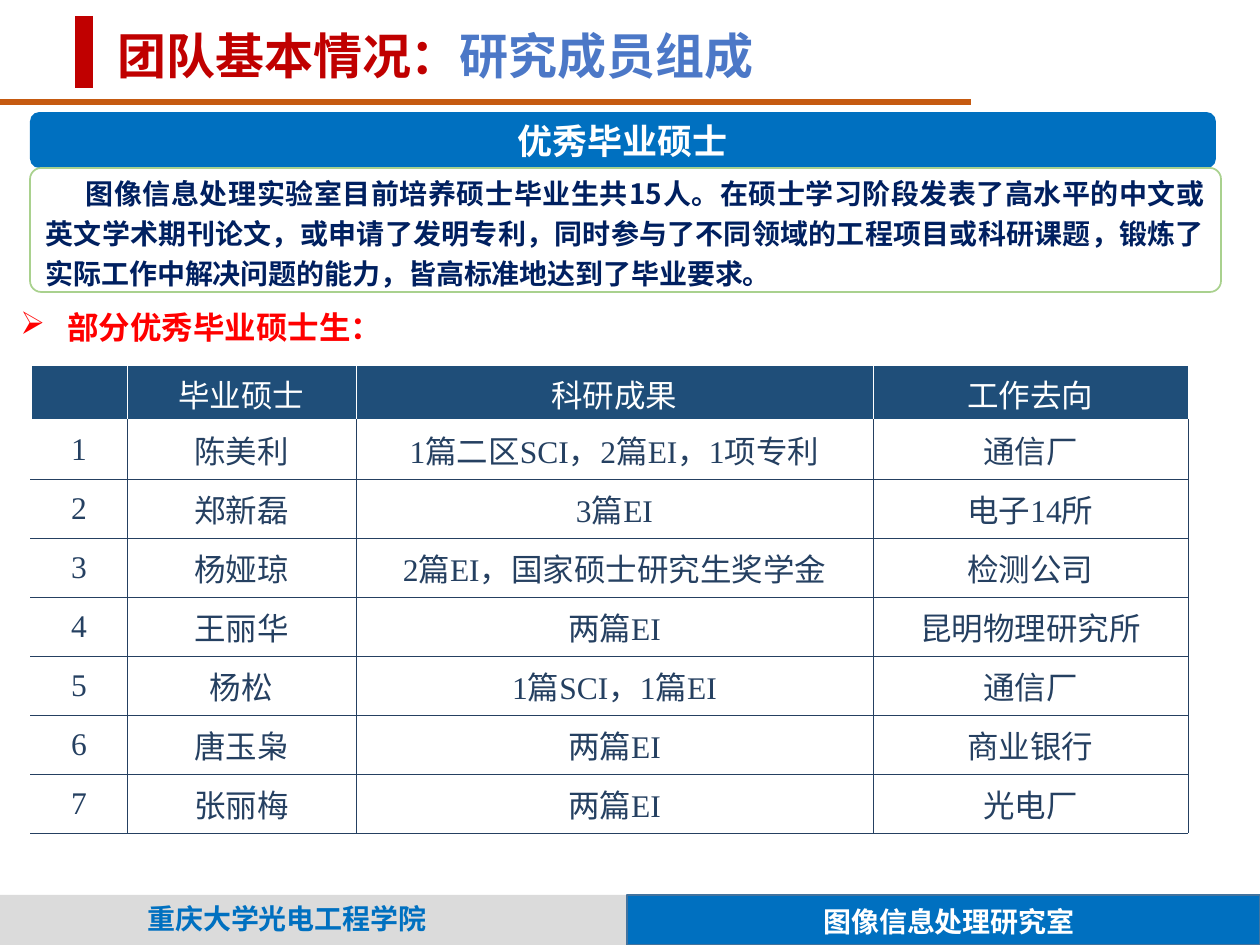
from lxml import etree
from pptx import Presentation
from pptx.dml.color import RGBColor
from pptx.enum.shapes import MSO_CONNECTOR, MSO_SHAPE
from pptx.enum.text import MSO_ANCHOR, PP_ALIGN
from pptx.oxml.ns import qn
from pptx.util import Emu, Pt

LEFT, MID, JUST = PP_ALIGN.LEFT, PP_ALIGN.CENTER, PP_ALIGN.JUSTIFY
TOP, CENTER = MSO_ANCHOR.TOP, MSO_ANCHOR.MIDDLE
RECT, ROUND = MSO_SHAPE.RECTANGLE, MSO_SHAPE.ROUNDED_RECTANGLE
LINE = MSO_CONNECTOR.STRAIGHT

# Content
TITLE = [("团队基本情况：", "crimson"), ("研究成员组成", "sky")]
BANNER = "优秀毕业硕士"
INTRO = ("图像信息处理实验室目前培养硕士毕业生共15人。在硕士学习阶段发表了高水平的中文或"
         "英文学术期刊论文，或申请了发明专利，同时参与了不同领域的工程项目或科研课题，锻炼了"
         "实际工作中解决问题的能力，皆高标准地达到了毕业要求。")
LIST_HEAD = "部分优秀毕业硕士生："
HEADS = ["", "毕业硕士", "科研成果", "工作去向"]
GRADS = [
    ("陈美利", "1篇二区SCI，2篇EI，1项专利", "通信厂"),
    ("郑新磊", "3篇EI", "电子14所"),
    ("杨娅琼", "2篇EI，国家硕士研究生奖学金", "检测公司"),
    ("王丽华", "两篇EI", "昆明物理研究所"),
    ("杨松", "1篇SCI，1篇EI", "通信厂"),
    ("唐玉枭", "两篇EI", "商业银行"),
    ("张丽梅", "两篇EI", "光电厂"),
]
SCHOOL, LAB = "重庆大学光电工程学院", "图像信息处理研究室"

THEME = {
    "color": {"crimson": "C00000", "sky": "4C78C7", "blue": "0070C0",
              "edge": "43739E", "rust": "C55A11", "grey": "DBDBDB",
              "white": "FFFFFF", "navy": "002060", "green": "A9D18E",
              "head": "1F4E79", "ink": "254061", "red": "FF0000"},
    "size": {"title": 28, "banner": 20, "table": 18, "body": 16},
    "font": {"title": "Calibri", "sans": "Noto Sans CJK SC",
             "serif": "Times New Roman"},
}

# Table geometry in px
COLS = [96, 229, 517, 315]
HEAD_H, ROW_H = 55, 59
TIGHT = (1, 3)


def px(n):
    return Emu(round(n * 914400 / 126))


def rgb(name):
    return RGBColor.from_string(THEME["color"][name])


def put_text(frame, text, size="body", font="sans", color="white", bold=True,
             align=LEFT, anchor=CENTER, space=None, indent=0, bullet=None):
    """Write one paragraph; text is a string or a list of (text, colour)."""
    frame.word_wrap = True
    frame.vertical_anchor = anchor
    para = frame.paragraphs[0]
    para.alignment = align
    if space:
        para.line_spacing = space
    props = para._p.get_or_add_pPr()
    if indent:
        props.set("marL", str(px(indent) if bullet else 0))
        props.set("indent", str(px(-indent if bullet else indent)))
    if bullet:
        tint = etree.SubElement(props, qn("a:buClr"))
        etree.SubElement(tint, qn("a:srgbClr"), val=THEME["color"][color])
        etree.SubElement(props, qn("a:buChar"), char=bullet)
    for part, tone in [(text, color)] if isinstance(text, str) else text:
        run = para.add_run()
        run.text = part
        run.font.name = THEME["font"][font]
        run.font.size = Pt(THEME["size"][size])
        run.font.bold = bold
        run.font.color.rgb = rgb(tone)
        etree.SubElement(run._r.rPr, qn("a:ea"), typeface=THEME["font"]["sans"])


def add_box(slide, kind, area, fill, line=None):
    shape = slide.shapes.add_shape(kind, *map(px, area))
    shape.shadow.inherit = False
    shape.fill.solid()
    shape.fill.fore_color.rgb = rgb(fill)
    if line:
        shape.line.color.rgb = rgb(line)
        shape.line.width = Pt(1)
    else:
        shape.line.fill.background()
    return shape


def add_label(slide, area, text, **style):
    put_text(slide.shapes.add_textbox(*map(px, area)).text_frame, text, **style)


def add_rule(slide, ends, color, width):
    rule = slide.shapes.add_connector(LINE, *map(px, ends))
    rule.line.color.rgb = rgb(color)
    rule.line.width = Pt(width)
    etree.SubElement(rule._element.spPr, qn("a:effectLst"))


def set_edges(cell, sides, color):
    props = cell._tc.get_or_add_tcPr()
    for side in sides:
        edge = etree.SubElement(props, qn("a:ln" + side), w=str(Pt(0.25)))
        fill = etree.SubElement(edge, qn("a:solidFill"))
        etree.SubElement(fill, qn("a:srgbClr"), val=THEME["color"][color])


def add_grid(slide, left, top):
    rows = [HEADS] + [(str(n), *grad) for n, grad in enumerate(GRADS, 1)]
    high = HEAD_H + ROW_H * len(GRADS)
    grid = slide.shapes.add_table(len(rows), len(COLS), px(left), px(top),
                                  px(sum(COLS)), px(high)).table
    grid.first_row = grid.horz_banding = False
    for col, wide in zip(grid.columns, COLS):
        col.width = px(wide)
    for r, row in enumerate(rows):
        grid.rows[r].height = px(ROW_H if r else HEAD_H)
        for c, text in enumerate(row):
            cell = grid.cell(r, c)
            sides = ("L" if c else "") + "R" + ("T" if r > 1 else "") + ("B" if r else "")
            set_edges(cell, sides, "ink" if r else "white")
            if r:
                cell.fill.background()
            else:
                cell.fill.solid()
                cell.fill.fore_color.rgb = rgb("head")
            if r and c in TIGHT:
                cell.margin_left = cell.margin_right = px(5)
            cell.vertical_anchor = CENTER
            if text:
                put_text(cell.text_frame, text, size="table", font="serif",
                         color="ink" if r else "white", bold=False, align=MID)


def main():
    deck = Presentation()
    deck.slide_width, deck.slide_height = px(1260), px(945)
    slide = deck.slides.add_slide(deck.slide_layouts[6])

    # Frame: rules and footer
    add_rule(slide, (-1, 102, 971, 102), "rust", 3)
    add_rule(slide, (84, 16, 84, 88), "crimson", 10)
    add_box(slide, RECT, (0, 895, 627, 50), "grey")
    add_box(slide, RECT, (627, 895, 633, 50), "blue", "edge")
    add_label(slide, (135, 895, 357, 47), SCHOOL, color="blue")
    add_label(slide, (811, 898, 289, 47), LAB)

    # Title, banner and introduction
    add_label(slide, (105, 16, 1155, 78), TITLE, size="title", font="title")
    banner = add_box(slide, ROUND, (30, 112, 1186, 56), "blue")
    put_text(banner.text_frame, BANNER, size="banner", align=MID)
    intro = add_box(slide, ROUND, (30, 168, 1191, 124), "white", "green")
    intro.adjustments[0] = 0.09
    put_text(intro.text_frame, INTRO, color="navy", align=JUST, space=1.2, indent=40)

    # Graduates
    add_grid(slide, 31, 365)
    add_label(slide, (8, 294, 402, 54), LIST_HEAD, size="table", font="serif",
              color="red", anchor=TOP, space=1.2, indent=47, bullet="➢")
    deck.save("out.pptx")


if __name__ == "__main__":
    main()
